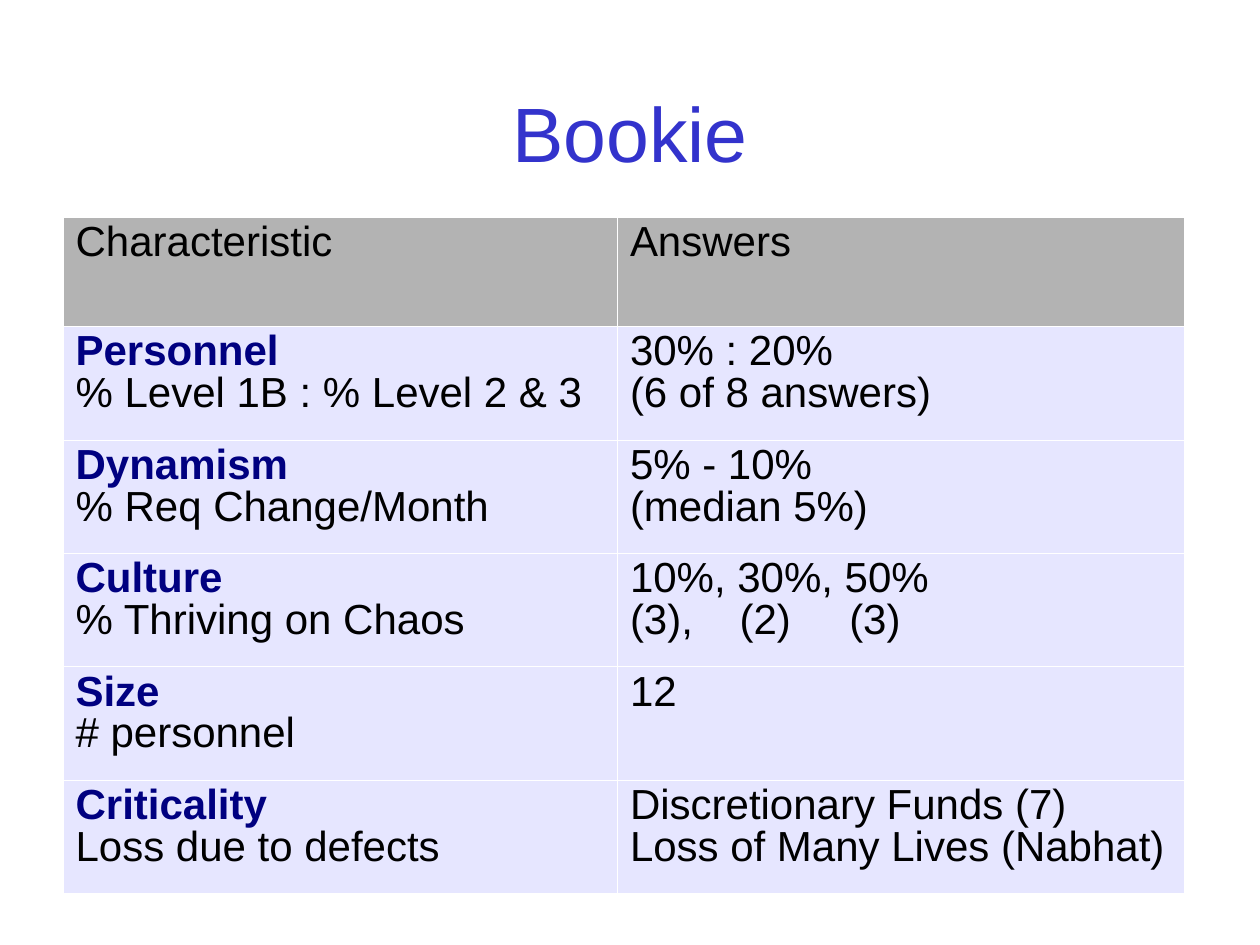
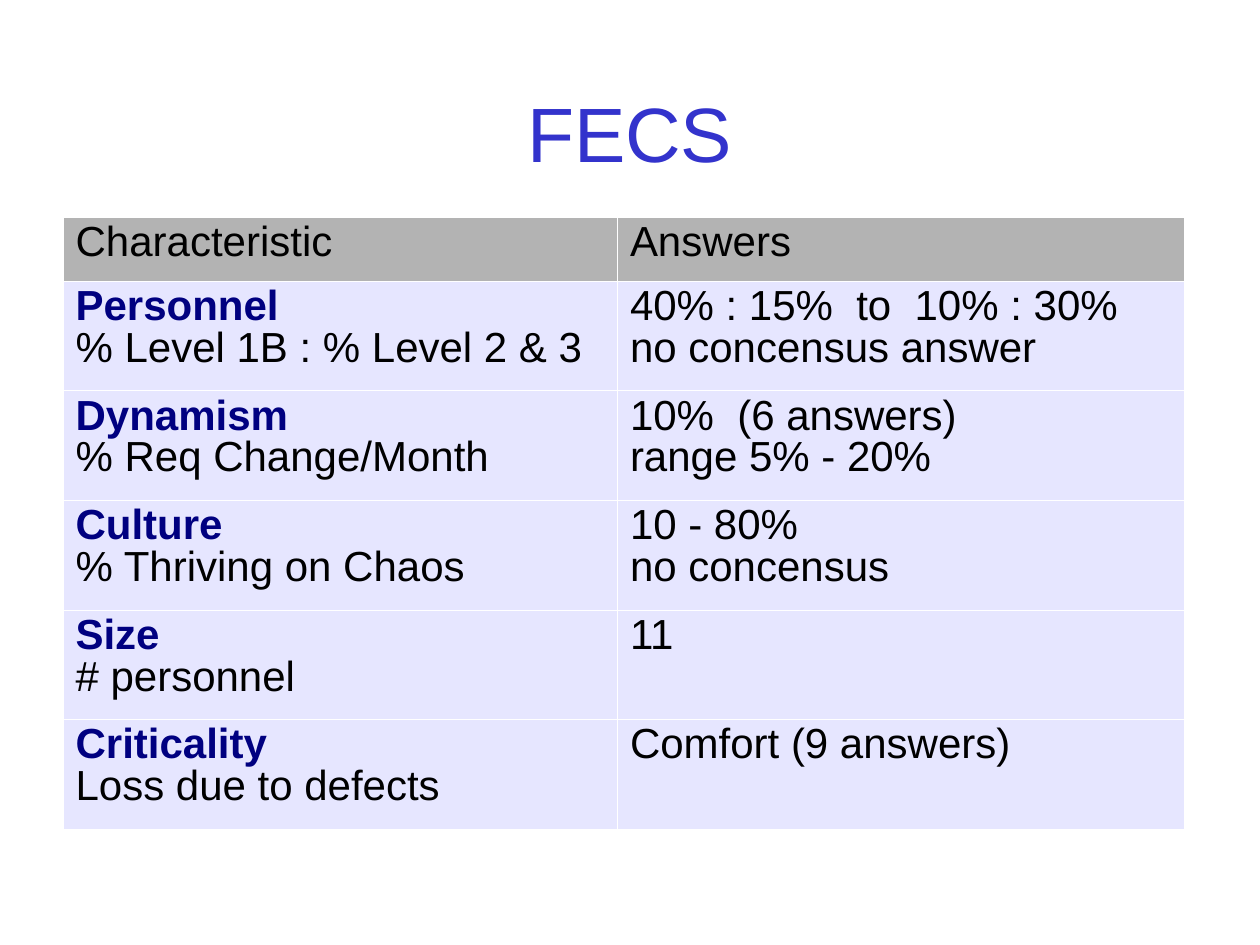
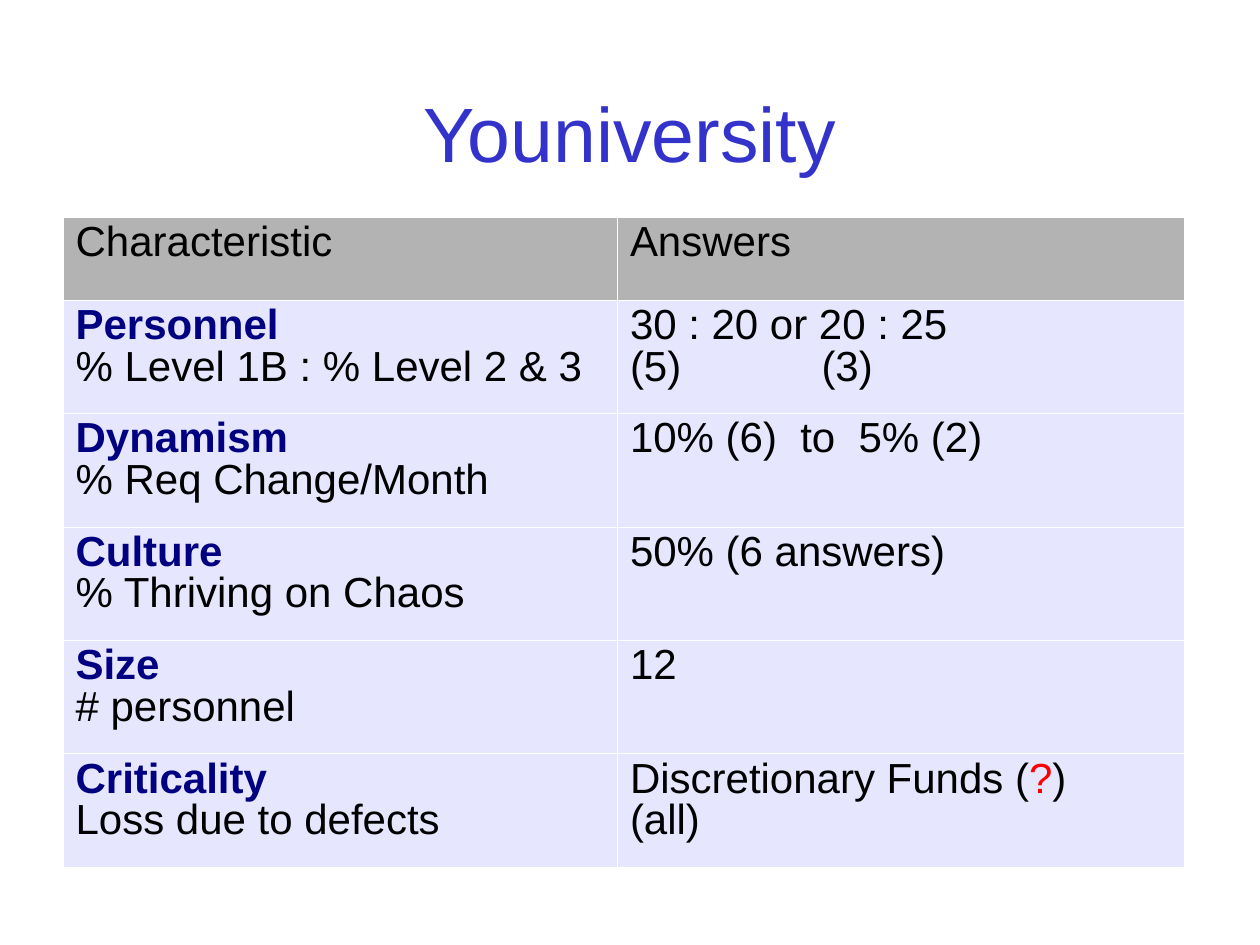
"""Build three slides that tabulate survey answers for each project."""
import pptx
import pptx.dml.color
import pptx.enum.text
import pptx.oxml
import pptx.oxml.ns
import pptx.util
from pptx.util import Inches

RGBColor = pptx.dml.color.RGBColor
TITLE_BLUE = RGBColor(0x33, 0x33, 0xCC)
NAVY = RGBColor(0x00, 0x00, 0x80)
BLACK = RGBColor(0x00, 0x00, 0x00)
RED = RGBColor(0xFF, 0x00, 0x00)
HEADER_GRAY = RGBColor(0xB3, 0xB3, 0xB3)
BODY_LILAC = RGBColor(0xE6, 0xE6, 0xFF)
FONT = "Arial"
BORDER = (
    '<a:{} {} w="762"><a:solidFill><a:srgbClr val="FFFFFF"/></a:solidFill></a:{}>'
)

CHARACTERISTICS = [
    ("Personnel", "% Level 1B : % Level 2 & 3"),
    ("Dynamism", "% Req Change/Month"),
    ("Culture", "% Thriving on Chaos"),
    ("Size", "# personnel"),
    ("Criticality", "Loss due to defects"),
]

SLIDES = [
    ("Bookie", 0.87, 0.9, [0.87, 1.74], [
        ["30% : 20%", "(6 of 8 answers)"],
        ["5% - 10%", "(median 5%)"],
        ["10%, 30%, 50%", "(3),\t(2)\t(3)"],
        ["12"],
        ["Discretionary Funds (7)", "Loss of Many Lives (Nabhat)"],
    ]),
    ("FECS", 0.51, 0.87, [], [
        ["40% : 15%  to  10% : 30%", "no concensus answer"],
        ["10%  (6 answers)", "range 5% - 20%"],
        ["10 - 80%", "no concensus"],
        ["11"],
        ["Comfort (9 answers)"],
    ]),
    ("Youniversity", 0.66, 0.9, [1.52], [
        ["30 : 20 or 20 : 25", "(5)\t(3)"],
        ["10% (6)  to  5% (2)"],
        ["50% (6 answers)"],
        ["12"],
        ["Discretionary Funds (?)", "(all)"],
    ]),
]


def set_font(p, size, color, bold=False):
    """Set the font of a whole paragraph."""
    p.font.name = FONT
    p.font.size = pptx.util.Pt(size)
    p.font.bold = bold
    p.font.color.rgb = color


def fill_cell(cell, lines, fill, tabs, heading=False):
    """Write the lines of a cell and set its borders and fill."""
    tf = cell.text_frame
    for i, line in enumerate(lines):
        p = tf.paragraphs[0] if i == 0 else tf.add_paragraph()
        p.line_spacing = 0.89
        if "\t" in line:
            stops = "".join(f'<a:tab pos="{Inches(t)}" algn="l"/>' for t in tabs)
            p._p.get_or_add_pPr().append(pptx.oxml.parse_xml(
                f'<a:tabLst {pptx.oxml.ns.nsdecls("a")}>{stops}</a:tabLst>'))
        bold = heading and i == 0
        set_font(p, 24, NAVY if bold else BLACK, bold)
        before, mark, after = line.partition("?")
        for text in filter(None, (before, mark, after)):
            r = p.add_run()
            r.text = text
            if text == "?":
                r.font.color.rgb = RED
    tcPr = cell._tc.get_or_add_tcPr()
    for side in ("lnL", "lnR", "lnT", "lnB"):
        tcPr.append(pptx.oxml.parse_xml(
            BORDER.format(side, pptx.oxml.ns.nsdecls("a"), side)))
    cell.fill.solid()
    cell.fill.fore_color.rgb = fill


prs = pptx.Presentation()
prs.slide_width, prs.slide_height = Inches(10), Inches(7.5)

for title, header_height, row_height, tabs, answers in SLIDES:
    s = prs.slides.add_slide(prs.slide_layouts[6])
    sp = s.shapes.add_textbox(Inches(0.75), Inches(0.42), Inches(8.5), Inches(1.25))
    tf = sp.text_frame
    tf.word_wrap = True
    tf.vertical_anchor = pptx.enum.text.MSO_ANCHOR.MIDDLE
    p = tf.paragraphs[0]
    p.text = title
    p.alignment = pptx.enum.text.PP_ALIGN.CENTER
    set_font(p, 44, TITLE_BLUE)

    heights = [header_height] + [row_height] * len(answers)
    table = s.shapes.add_table(len(heights), 2, Inches(0.5), Inches(1.72),
                               Inches(8.9), Inches(sum(heights))).table
    table.first_row = table.horz_banding = False
    for column, width in zip(table.columns, (4.4, 4.5)):
        column.width = Inches(width)
    for row, height in zip(table.rows, heights):
        row.height = Inches(height)

    for col, text in enumerate(("Characteristic", "Answers")):
        fill_cell(table.cell(0, col), [text], HEADER_GRAY, tabs)
    for row, (names, lines) in enumerate(zip(CHARACTERISTICS, answers), 1):
        fill_cell(table.cell(row, 0), names, BODY_LILAC, tabs, heading=True)
        fill_cell(table.cell(row, 1), lines, BODY_LILAC, tabs)

prs.save("out.pptx")
